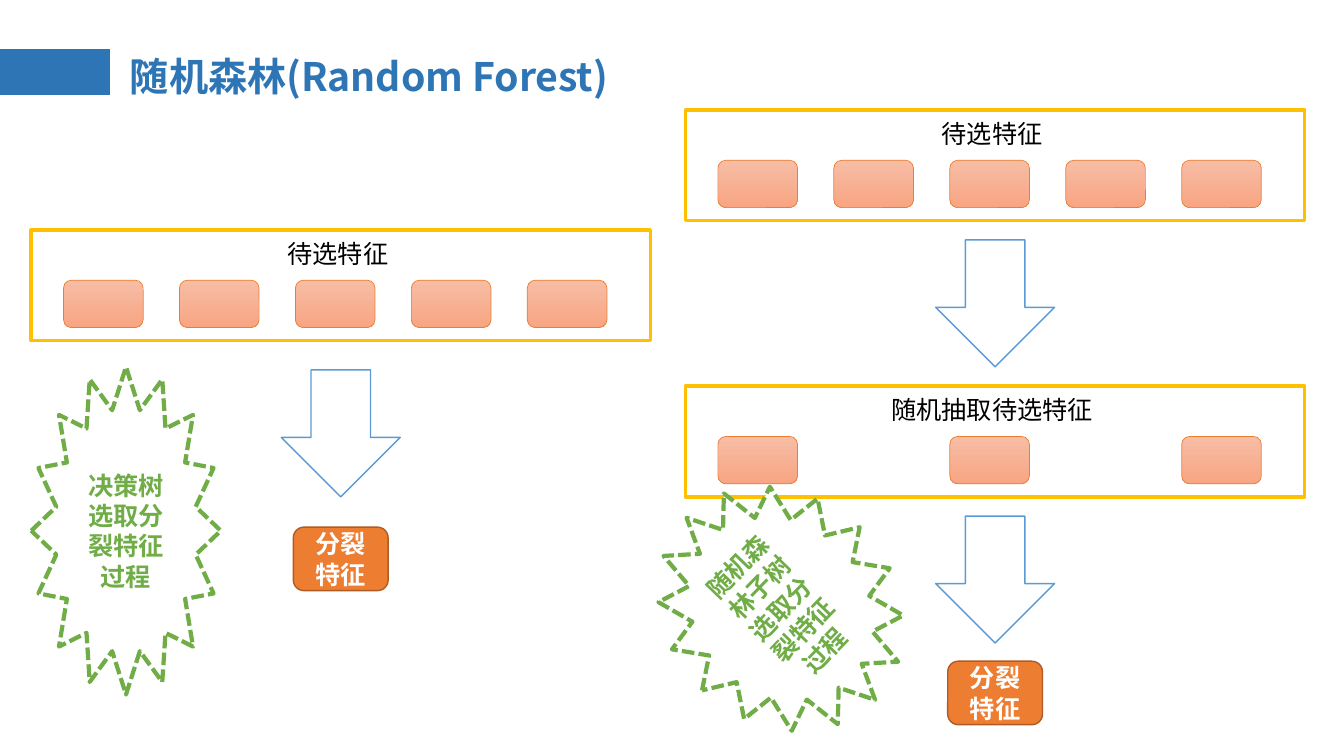
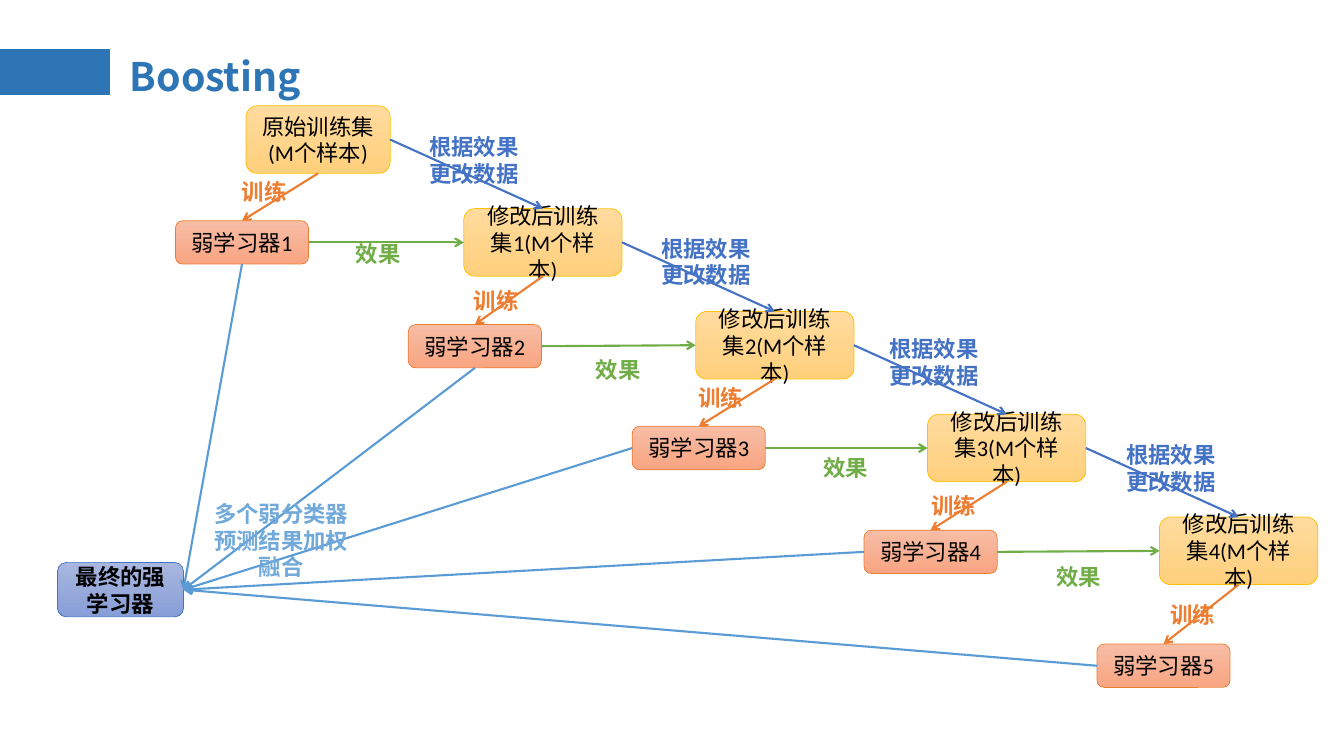
from lxml import etree
from pptx import Presentation
from pptx.dml.color import RGBColor
from pptx.enum.dml import MSO_LINE
from pptx.enum.shapes import MSO_CONNECTOR, MSO_SHAPE
from pptx.enum.text import MSO_ANCHOR, PP_ALIGN
from pptx.oxml.ns import qn
from pptx.util import Inches, Pt

RECT, ROUND = MSO_SHAPE.RECTANGLE, MSO_SHAPE.ROUNDED_RECTANGLE
ARROW, STAR = MSO_SHAPE.DOWN_ARROW, MSO_SHAPE.STAR_16_POINT
STRAIGHT, DASH = MSO_CONNECTOR.STRAIGHT, MSO_LINE.SQUARE_DOT
LEFT, CENTER = PP_ALIGN.LEFT, PP_ALIGN.CENTER
TOP, MIDDLE = MSO_ANCHOR.TOP, MSO_ANCHOR.MIDDLE
# Connection sites of a box
N_SIDE, W_SIDE, S_SIDE, E_SIDE = range(4)

COLORS = {
    "title": "2E75B6", "white": "FFFFFF", "black": "000000",
    "gold": "FFC000", "orange": "ED7D31", "rust": "AF5C24",
    "green": "70AD47", "sky": "5B9BD5", "pale": "72A9DB", "blue": "4472C4",
}
BLENDS = {
    "peach": ("F7BDA5", "F8A582"),
    "sand": ("FFDB9E", "FFD07C"),
    "iris": ("A8B7DF", "889ED7"),
}
LATIN, HAN = "Calibri", "Noto Sans CJK SC"


def color(name):
    return RGBColor.from_string(COLORS[name])


def write(shape, text, size=16, ink="black", bold=False, font=LATIN,
          align=CENTER, anchor=MIDDLE, wrap=True, space=None, inset=None):
    """Fill a shape with text, one paragraph for each line."""
    frame = shape.text_frame
    frame.word_wrap = wrap
    frame.vertical_anchor = anchor
    if inset:
        (frame.margin_left, frame.margin_top,
         frame.margin_right, frame.margin_bottom) = map(Inches, inset)
    for i, line in enumerate(text.split("\n")):
        para = frame.add_paragraph() if i else frame.paragraphs[0]
        para.alignment = align
        para.line_spacing = space
        run = para.add_run()
        run.text = line
        run.font.size = Pt(size)
        run.font.bold = bold
        run.font.color.rgb = color(ink)
        run.font.name = font
        etree.SubElement(run.font._element, qn("a:ea"), typeface=HAN)


class Deck:
    def __init__(self):
        self.show = Presentation()
        self.show.slide_width = Inches(13.33)
        self.show.slide_height = Inches(7.5)
        self.slide = None

    def open(self, title):
        """Start a slide with its band and title."""
        self.slide = self.show.slides.add_slide(self.show.slide_layouts[6])
        self.box(RECT, (0, 0.48, 1.1, 0.47), "title", "white", 0.75)
        self.label((1.19, 0.18, 11.5, 1.2), title, size=28, ink="title",
                   font=HAN, anchor=MIDDLE, wrap=True, space=0.9)

    def box(self, kind, area, fill, edge, width=0.5, text="", **style):
        shape = self.slide.shapes.add_shape(kind, *map(Inches, area))
        shape.shadow.inherit = False
        if fill in BLENDS:
            shape.fill.gradient()
            shape.fill.gradient_angle = 270
            for stop, tone in zip(shape.fill.gradient_stops, BLENDS[fill]):
                stop.color.rgb = RGBColor.from_string(tone)
        else:
            shape.fill.solid()
            shape.fill.fore_color.rgb = color(fill)
        shape.line.color.rgb = color(edge)
        shape.line.width = Pt(width)
        if text:
            write(shape, text, **style)
        return shape

    def label(self, area, text, **style):
        style = {"bold": True, "align": LEFT, "anchor": TOP,
                 "wrap": False, **style}
        write(self.slide.shapes.add_textbox(*map(Inches, area)), text, **style)

    def link(self, start, side, end, goal, ink):
        """Join two boxes by an arrow glued to the given sides."""
        line = self.slide.shapes.add_connector(STRAIGHT, 0, 0, 0, 0)
        line.begin_connect(start, side)
        line.end_connect(end, goal)
        line.line.color.rgb = color(ink)
        line.line.width = Pt(1.5)
        props = line._element.spPr
        etree.SubElement(props.find(qn("a:ln")), qn("a:tailEnd"), type="arrow")
        etree.SubElement(props, qn("a:effectLst"))

    def pool(self, left, top, text, slots, drop):
        """Draw a frame of features and the arrow that leaves it."""
        self.box(RECT, (left, top, 6.14, 1.1), "white", "gold", 2.5, text,
                 size=18, anchor=TOP, inset=(0.04, 0.08, 0.1, 0.05))
        for slot in slots:
            self.box(ROUND, (left + 0.32 + 1.15 * slot, top + 0.5, 0.79, 0.47),
                     "peach", "orange")
        self.box(ARROW, (left + 2.48, top + drop, 1.18, 1.26),
                 "white", "sky", 1)

    def split(self, left, top):
        self.box(ROUND, (left, top, 0.94, 0.63), "orange", "rust", 1,
                 "分裂特征", size=18, ink="white", bold=True)

    def star(self, area, text, turn=0):
        shape = self.box(STAR, area, "white", "green", 3, text,
                         size=18, ink="green", bold=True)
        shape.line.dash_style = DASH
        shape.rotation = turn


def forest(deck):
    deck.open("随机森林(Random Forest)")
    deck.pool(0.31, 2.28, "待选特征", range(5), 1.39)
    deck.split(2.91, 5.23)
    deck.pool(6.8, 1.09, "待选特征", range(5), 1.29)
    deck.pool(6.8, 3.83, "随机抽取待选特征", range(0, 5, 2), 1.29)
    deck.split(9.4, 6.56)
    deck.star((0.31, 3.64, 1.88, 3.25), "决策树选取分裂特征过程")
    deck.star((6.62, 4.74, 2.25, 2.6), "随机森林子树选取分裂特征过程", 314)


def boost(deck):
    deck.open("Boosting")
    sets = [deck.box(ROUND, (2.44, 1.05, 1.43, 0.67), "sand", "gold",
                     text="原始训练集(M个样本)")]
    for i in range(4):
        area = (4.6 + 2.3 * i, 2.07 + 1.02 * i, 1.57, 0.67)
        sets.append(deck.box(ROUND, area, "sand", "gold",
                             text=f"修改后训练集{i + 1}(M个样本)"))
    spots = [(1.74, 2.19), (4.05, 3.22), (6.27, 4.23), (8.57, 5.26),
             (10.88, 6.39)]
    weak = [deck.box(ROUND, (*spot, 1.32, 0.43), "peach", "orange",
                     text=f"弱学习器{i}")
            for i, spot in enumerate(spots, 1)]
    final = deck.box(ROUND, (0.57, 5.58, 1.25, 0.54), "iris", "blue",
                     text="最终的强学习器", bold=True)

    for data, unit in zip(sets, weak):
        deck.link(data, S_SIDE, unit, N_SIDE, "orange")
    for data, unit, new in zip(sets, weak, sets[1:]):
        deck.link(unit, E_SIDE, new, W_SIDE, "green")
        deck.link(data, E_SIDE, new, N_SIDE, "blue")
    for i, unit in enumerate(weak):
        deck.link(unit, S_SIDE if i < 2 else W_SIDE, final, E_SIDE, "sky")

    notes = [
        ("训练", "orange", (0.65, 0.37),
         [(2.3, 1.72), (4.6, 2.8), (6.83, 3.76), (9.14, 4.83), (11.51, 5.91)]),
        ("效果", "green", (0.65, 0.37),
         [(3.43, 2.33), (5.81, 3.48), (8.07, 4.46), (10.38, 5.54)]),
        ("根据效果\n更改数据", "blue", (1.09, 0.64),
         [(4.16, 1.27), (6.46, 2.28), (8.72, 3.28), (11.07, 4.33)]),
    ]
    for text, ink, size, places in notes:
        for place in places:
            deck.label(place + size, text, ink=ink)
    deck.label((2.02, 4.91, 1.54, 0.91), "多个弱分类器\n预测结果加权\n融合",
               ink="pale", align=CENTER)


def main():
    deck = Deck()
    forest(deck)
    boost(deck)
    deck.show.save("out.pptx")


if __name__ == "__main__":
    main()
